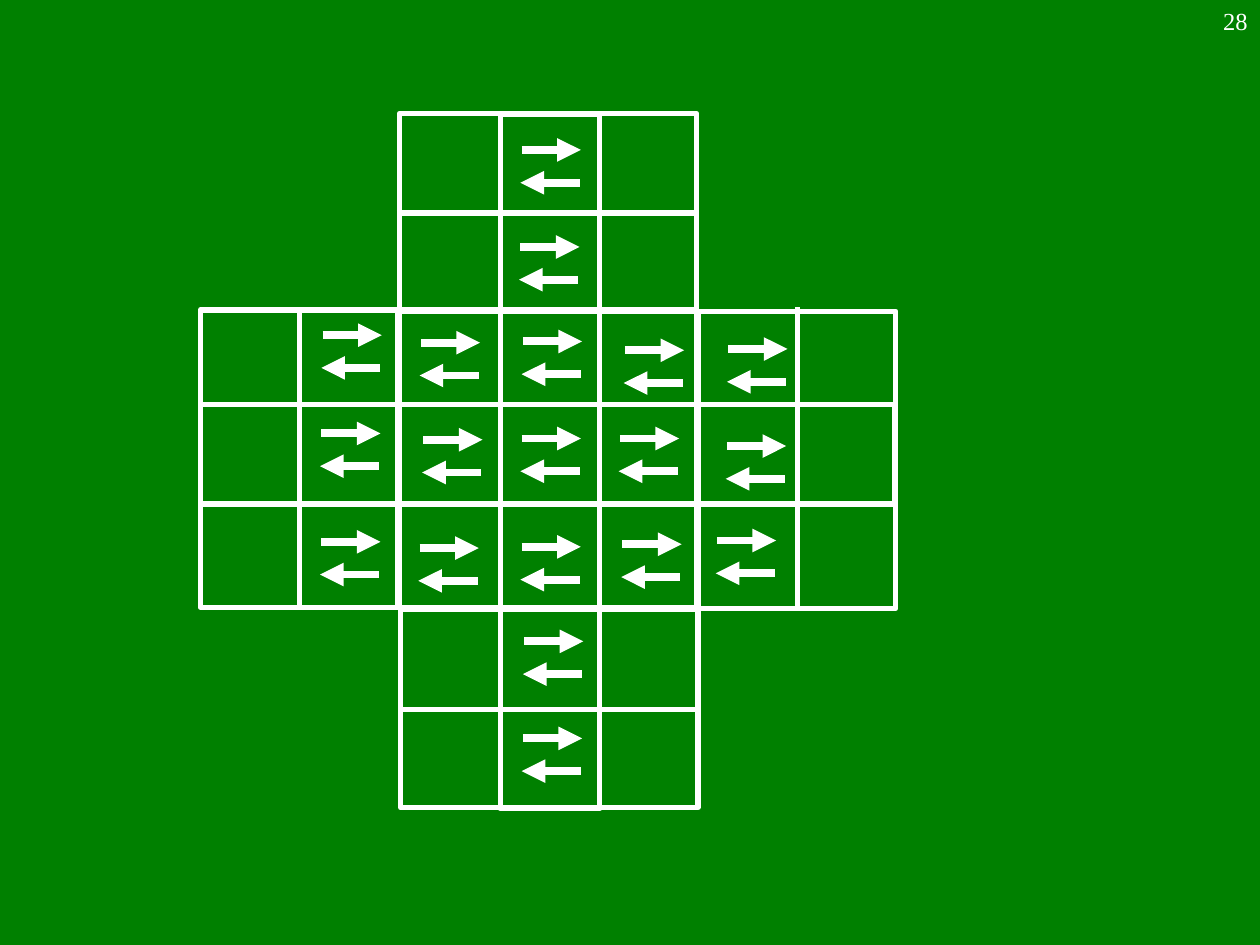
from dataclasses import dataclass

from pptx import Presentation
from pptx.dml.color import RGBColor
from pptx.enum.shapes import MSO_CONNECTOR, MSO_SHAPE
from pptx.enum.text import PP_ALIGN
from pptx.oxml.ns import qn
from pptx.util import Inches, Pt
from lxml.etree import SubElement


@dataclass(frozen=True)
class Theme:
    board: RGBColor = RGBColor(0x00, 0x80, 0x00)
    ink: RGBColor = RGBColor(0xFF, 0xFF, 0xFF)
    font: str = "Times New Roman"
    number_size: Pt = Pt(14)
    grid_width: Pt = Pt(3)
    arrow_width: Pt = Pt(4.5)


theme = Theme()

prs = Presentation()
prs.slide_width, prs.slide_height = Inches(10), Inches(7.5)
s = prs.slides.add_slide(prs.slide_layouts[6])
s.background.fill.solid()
s.background.fill.fore_color.rgb = theme.board


def add_line(shapes, x1, y1, x2, y2, width, arrow=None):
    """Draw a line; arrow is None, "headEnd" (start) or "tailEnd" (finish)."""
    ln = shapes.add_connector(MSO_CONNECTOR.STRAIGHT, Inches(x1), Inches(y1),
                              Inches(x2), Inches(y2))
    ln.line.color.rgb = theme.ink
    ln.line.width = width
    if arrow:
        SubElement(ln.line._get_or_add_ln(), qn(f"a:{arrow}"), type="triangle")
    SubElement(ln._element.spPr, qn("a:effectLst"))


board = s.shapes.add_group_shape().shapes

# Outlines of the cross: left, top, width, height
outlines = [
    (3.17, 2.46, 2.36, 2.36),  # centre
    (1.59, 3.21, 5.51, 0.79),  # middle row
    (3.97, 0.91, 0.79, 5.51),  # middle column
    (1.59, 2.46, 1.57, 2.36),  # left arm
    (5.54, 2.47, 1.57, 2.36),  # right arm
    (3.18, 4.84, 2.36, 1.57),  # bottom arm
    (3.17, 0.90, 2.36, 1.57),  # top arm
]
for box in outlines:
    sp = board.add_shape(MSO_SHAPE.RECTANGLE, *map(Inches, box))
    sp.shadow.inherit = False
    sp.fill.background()
    sp.line.color.rgb = theme.ink
    sp.line.width = theme.grid_width

# Lines that halve the four arms
for x in (2.38, 6.33):
    add_line(board, x, 2.44, x, 4.84, theme.grid_width)
for x, y in ((3.15, 1.69), (3.16, 5.63)):
    add_line(board, x, y, x + 2.4, y, theme.grid_width)

# Arrow pairs by column: start of each right-pointing arrow
pair_starts = [
    (2.56, 2.66), (2.55, 3.44), (2.55, 4.30),
    (3.34, 2.72), (3.36, 3.49), (3.33, 4.35),
    (4.14, 1.19), (4.13, 1.96), (4.15, 2.71), (4.14, 3.48),
    (4.14, 4.34), (4.16, 5.09), (4.15, 5.86),
    (4.96, 2.78), (4.92, 3.48), (4.94, 4.32),
    (5.78, 2.77), (5.77, 3.54), (5.69, 4.29),
]
ARROW_LENGTH, PAIR_GAP, PAIR_SHIFT = 0.47, 0.26, 0.01
for x, y in pair_starts:
    add_line(board, x, y, x + ARROW_LENGTH, y, theme.arrow_width, "tailEnd")
    x, y = x - PAIR_SHIFT, y + PAIR_GAP
    add_line(board, x, y, x + ARROW_LENGTH, y, theme.arrow_width, "headEnd")

# Page number
tf = s.shapes.add_textbox(Inches(7.92), 0, Inches(2.08), Inches(0.5)).text_frame
tf.word_wrap = True
p = tf.paragraphs[0]
p.text = "28"
p.alignment = PP_ALIGN.RIGHT
p.font.name = theme.font
p.font.size = theme.number_size
p.font.color.rgb = theme.ink

prs.save("out.pptx")
